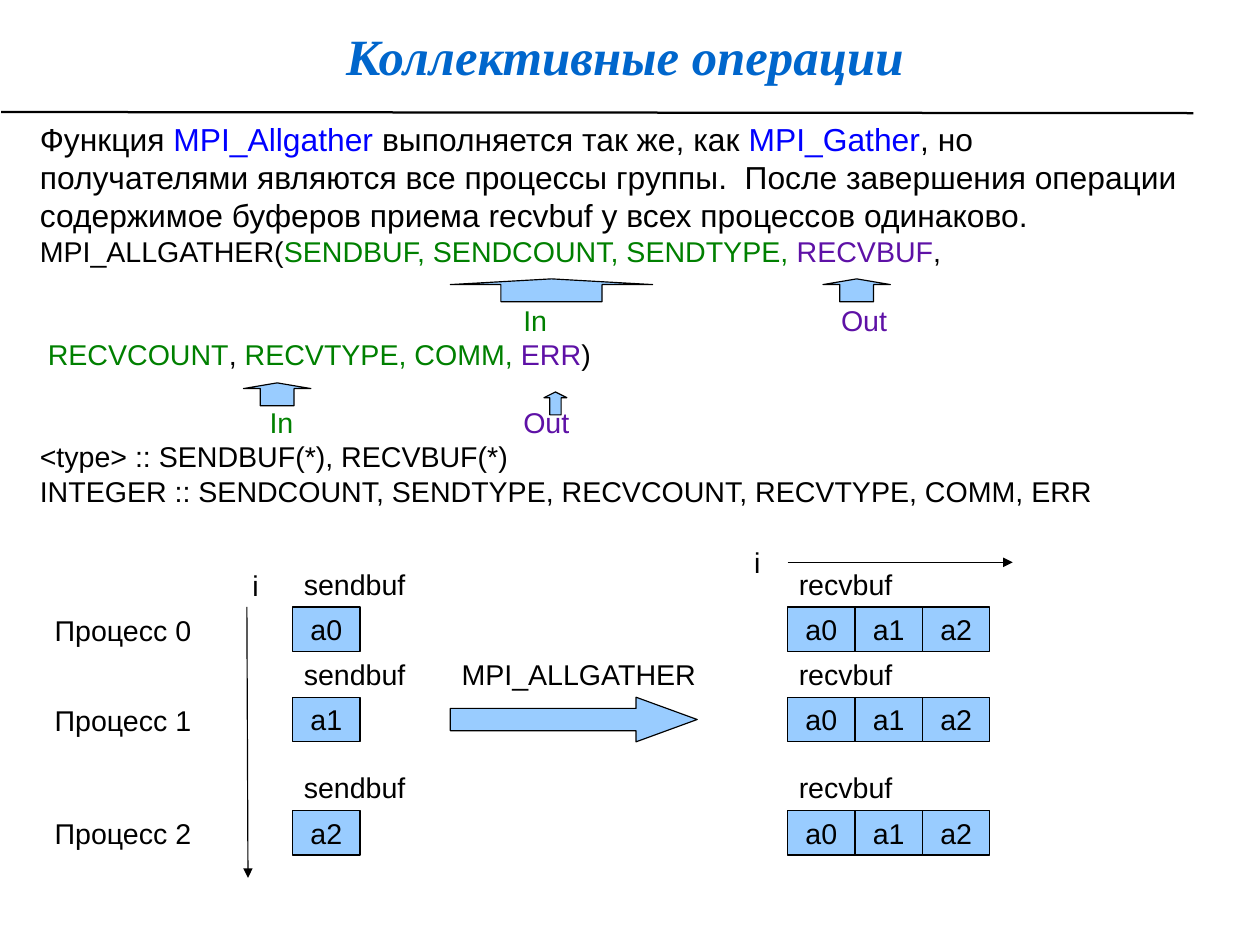
from lxml import etree
from pptx import Presentation
from pptx.dml.color import RGBColor
from pptx.enum.shapes import MSO_CONNECTOR as Connector, MSO_SHAPE as Shape
from pptx.enum.text import MSO_ANCHOR as Anchor, PP_ALIGN as Align
from pptx.oxml.ns import qn
from pptx.util import Inches, Pt

COLORS = {
    "title": "0066CC",
    "text": "000000",
    "function": "0000FF",
    "input": "008000",
    "output": "5E11A6",
    "fill": "99CCFF",
}
CM_PER_INCH = 2.54
ARROW_GAP = 21.4


def write(para, text, size=18, color="text", font="Arial", bold=False, italic=False):
    span = para.add_run()
    span.text = text
    span.font.size = Pt(size)
    span.font.name = font
    span.font.bold = bold
    span.font.italic = italic
    span.font.color.rgb = RGBColor.from_string(COLORS[color])


def add_text(page, left, top, width, height):
    box = page.shapes.add_textbox(*map(Inches, (left, top, width, height)))
    box.text_frame.word_wrap = True
    return box.text_frame


def add_label(page, text, left, top, width):
    write(add_text(page, left, top, width, 0.4).paragraphs[0], text)


def add_block(page, kind, left, top, width, height, adjustments=(), text=""):
    block = page.shapes.add_shape(kind, *map(Inches, (left, top, width, height)))
    block.shadow.inherit = False
    block.fill.solid()
    block.fill.fore_color.rgb = RGBColor.from_string(COLORS["fill"])
    block.line.color.rgb = RGBColor.from_string(COLORS["text"])
    block.line.width = Pt(0.75)
    for index, value in enumerate(adjustments):
        block.adjustments[index] = value
    if text:
        frame = block.text_frame
        frame.word_wrap = False
        frame.vertical_anchor = Anchor.MIDDLE
        frame.paragraphs[0].alignment = Align.CENTER
        write(frame.paragraphs[0], text)


def add_line(page, start, end, width=0.75, arrow=False):
    line = page.shapes.add_connector(
        Connector.STRAIGHT, *map(Inches, (*start, *end)))
    line.line.color.rgb = RGBColor.from_string(COLORS["text"])
    line.line.width = Pt(width)
    if arrow:
        outline = line.line._get_or_add_ln()
        etree.SubElement(outline, qn("a:tailEnd"), type="triangle")
    etree.SubElement(line._element.spPr, qn("a:effectLst"))


def set_tabs(para, stops):
    tabs = etree.SubElement(para._p.get_or_add_pPr(), qn("a:tabLst"))
    for stop in stops:
        etree.SubElement(tabs, qn("a:tab"), pos=str(Inches(stop)), algn="l")


def draw_title(page, left, top, width, height):
    frame = add_text(page, left, top, width, height)
    frame.vertical_anchor = Anchor.MIDDLE
    para = frame.paragraphs[0]
    para.alignment = Align.CENTER
    write(para, "Коллективные операции", size=32, color="title",
          font="Times New Roman", bold=True, italic=True)
    add_line(page, (left + 0.01, top + 0.91), (left + 10.44, top + 0.92), width=1.42)


def draw_description(page, left, top, width, height):
    frame = add_text(page, left, top, width, height)
    intro = frame.paragraphs[0]
    for text, color in (
        ("Функция ", "text"),
        ("MPI_Allgather", "function"),
        (" выполняется так же, как ", "text"),
        ("MPI_Gather", "function"),
        (", но получателями являются все процессы группы.  После завершения "
         "операции содержимое буферов приема recvbuf у всех процессов "
         "одинаково.", "text"),
    ):
        write(intro, text, size=20, color=color)

    call = (("MPI_ALLGATHER(", "text"),
            ("SENDBUF, SENDCOUNT, SENDTYPE, ", "input"),
            ("RECVBUF", "output"), (",", "text"))
    call_end = (("RECVCOUNT", "input"), (", ", "text"),
                ("RECVTYPE, COMM, ", "input"), ("ERR", "output"), (")", "text"))
    directions = (("\tIn", "input"), ("\tOut", "output"))
    for spans, stops, indent in (
        (call, (), 0),
        (directions, (4.23, 7.01), 0),
        (call_end, (), 0.07),
        (directions, (2.01, 4.23), 0),
        ((("<type> :: SENDBUF(*), RECVBUF(*)", "text"),), (), 0),
        ((("INTEGER :: SENDCOUNT, SENDTYPE, RECVCOUNT, RECVTYPE, COMM, ERR",
           "text"),), (), 0),
    ):
        para = frame.add_paragraph()
        if stops:
            para.space_before = Pt(ARROW_GAP)
            set_tabs(para, stops)
        if indent:
            para._p.get_or_add_pPr().set("marL", str(Inches(indent)))
        for text, color in spans:
            write(para, text, color=color)

    for offset, drop, arrow_width in (
        (3.69, 1.44, 1.77), (6.95, 1.44, 0.59), (1.88, 2.35, 0.59), (4.51, 2.43, 0.2),
    ):
        add_block(page, Shape.UP_ARROW, left + offset, top + drop,
                  arrow_width, 0.2, (0.5, 0.25))


def draw_buffer(page, left, top, name, values):
    cell_width, cell_height = 0.59, 0.39
    add_label(page, name, left, top - 0.4, 1.2)
    for column, value in enumerate(values):
        add_block(page, Shape.RECTANGLE, left + column * cell_width, top,
                  cell_width, cell_height, text=value)


def draw_diagram(page, left, top, width, height):
    values = ("a0", "a1", "a2")
    send_left, receive_left = left + 2.18, left + 6.51
    row_tops = [top + offset for offset in (0.59, 1.38, 2.37)]
    for number, (value, row_top) in enumerate(zip(values, row_tops)):
        add_label(page, f"Процесс {number}", left, row_top, 1.5)
        draw_buffer(page, send_left, row_top, "sendbuf", (value,))
        draw_buffer(page, receive_left, row_top, "recvbuf", values)

    add_label(page, "MPI_ALLGATHER", left + 3.56, row_tops[1] - 0.4, 2.4)
    add_block(page, Shape.RIGHT_ARROW, left + 3.56, row_tops[1], 2.16, 0.39,
              (0.5, 1.37))
    add_label(page, "i", left + 1.73, top + 0.2, 0.3)
    add_line(page, (left + 1.78, row_tops[0]), (left + 1.79, top + height), arrow=True)
    add_label(page, "i", left + 6.12, top, 0.3)
    add_line(page, (receive_left, top + 0.2), (left + width, top + 0.2), arrow=True)


def main():
    deck = Presentation()
    deck.slide_width = Inches(28 / CM_PER_INCH)
    deck.slide_height = Inches(21 / CM_PER_INCH)
    page = deck.slides.add_slide(deck.slide_layouts[6])
    draw_title(page, 0, 0.07, 10.94, 0.82)
    draw_description(page, 0.25, 1, 10.19, 3.92)
    draw_diagram(page, 0.38, 4.72, 8.48, 2.96)
    deck.save("out.pptx")


if __name__ == "__main__":
    main()
